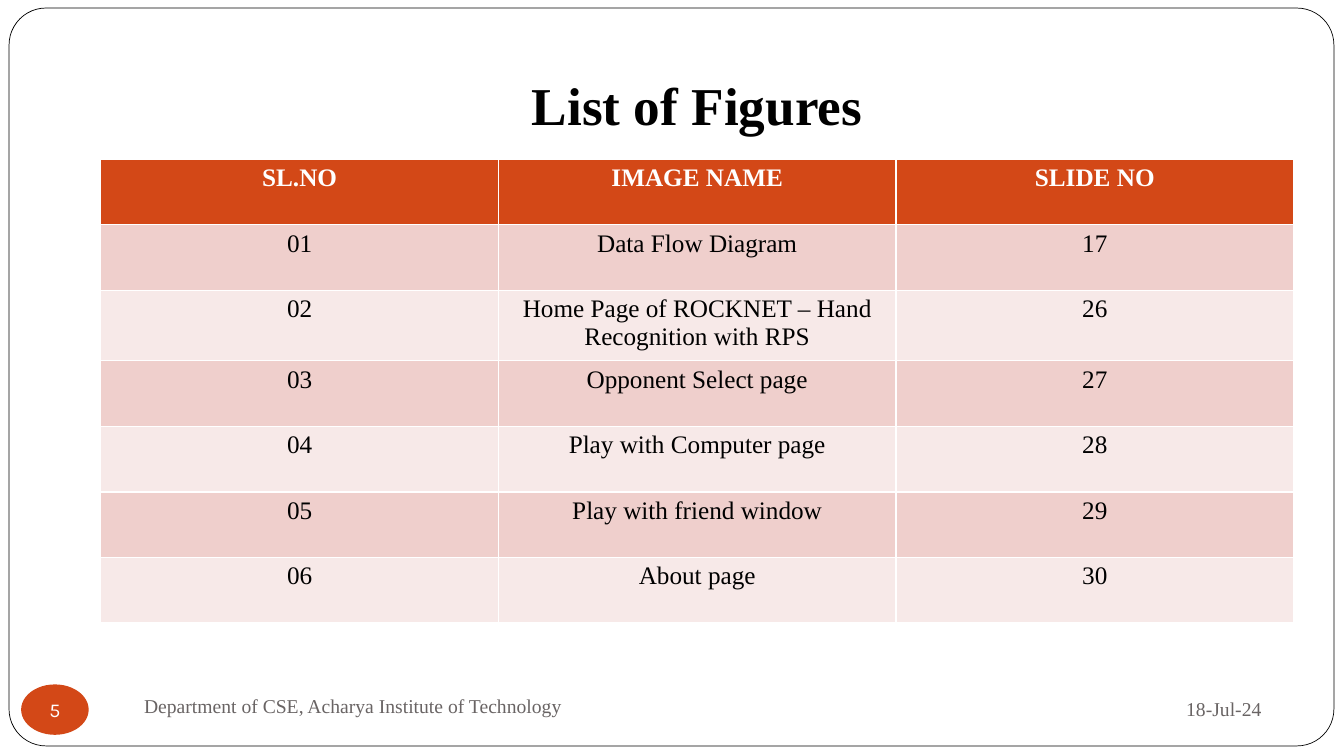
"""Build the List of Figures slide."""
from dataclasses import dataclass
from typing import Any

import pptx
import pptx.dml.color
import pptx.enum.shapes
import pptx.enum.text
import pptx.util

Inches = pptx.util.Inches
RGBColor = pptx.dml.color.RGBColor
Align = pptx.enum.text.PP_ALIGN
Anchor = pptx.enum.text.MSO_ANCHOR
Shape = pptx.enum.shapes.MSO_SHAPE

BLACK = RGBColor(0x00, 0x00, 0x00)
WHITE = RGBColor(0xFF, 0xFF, 0xFF)
GRAY = RGBColor(0x69, 0x64, 0x64)
ORANGE = RGBColor(0xD3, 0x48, 0x17)
BANDS = (RGBColor(0xEF, 0xCF, 0xCC), RGBColor(0xF7, 0xE9, 0xE8))
SERIF = "Times New Roman"
ROW_HEIGHT = 0.65


@dataclass(frozen=True)
class Style:
    size: int
    color: RGBColor
    bold: bool = False
    font: str = SERIF
    align: Align = Align.CENTER


@dataclass(frozen=True)
class Label:
    text: str
    box: tuple[float, float, float, float]
    style: Style
    anchor: Anchor = Anchor.MIDDLE
    bottom: float = 0.05


HEADER = Style(18, WHITE, bold=True)
BODY = Style(18, BLACK)
LABELS = (
    Label("List of Figures", (0.88, 0.2, 12.07, 1.25), Style(38, BLACK, bold=True),
          Anchor.BOTTOM, 0.1),
    Label("18-Jul-24", (9, 6.77, 3.61, 0.52), Style(14, GRAY, align=Align.RIGHT)),
    Label("Department of CSE, Acharya Institute of Technology",
          (1.33, 6.75, 5.78, 0.5), Style(14, GRAY, align=Align.LEFT)),
)
FIGURES = (
    ("SL.NO", "IMAGE NAME", "SLIDE NO"),
    ("01", "Data Flow Diagram", "17"),
    ("02", "Home Page of ROCKNET – Hand Recognition with RPS", "26"),
    ("03", "Opponent Select page", "27"),
    ("04", "Play with Computer page", "28"),
    ("05", "Play with friend window", "29"),
    ("06", "About page", "30"),
)


def write(tf: Any, text: str, style: Style) -> None:
    p = tf.paragraphs[0]
    p.alignment = style.align
    r = p.add_run()
    r.text = text
    r.font.name = style.font
    r.font.size = pptx.util.Pt(style.size)
    r.font.bold = style.bold
    r.font.color.rgb = style.color


def add_label(s: Any, label: Label) -> None:
    tf = s.shapes.add_textbox(*map(Inches, label.box)).text_frame
    tf.word_wrap = True
    tf.vertical_anchor = label.anchor
    tf.margin_bottom = Inches(label.bottom)
    write(tf, label.text, label.style)


def add_frame(s: Any) -> None:
    sp = s.shapes.add_shape(Shape.ROUNDED_RECTANGLE, Inches(0.09), Inches(0.08),
                            Inches(13.14), Inches(7.32))
    sp.adjustments[0] = 0.05
    sp.shadow.inherit = False
    sp.fill.solid()
    sp.fill.fore_color.rgb = WHITE
    sp.line.color.rgb = BLACK
    sp.line.width = pptx.util.Pt(0.5)


def add_page_number(s: Any, number: str) -> None:
    sp = s.shapes.add_shape(Shape.OVAL, Inches(0.21), Inches(6.79),
                            Inches(0.67), Inches(0.5))
    sp.shadow.inherit = False
    sp.fill.solid()
    sp.fill.fore_color.rgb = ORANGE
    sp.line.fill.background()
    tf = sp.text_frame
    tf.margin_left = tf.margin_right = tf.margin_top = tf.margin_bottom = 0
    tf.word_wrap = False
    tf.vertical_anchor = Anchor.MIDDLE
    write(tf, number, Style(14, WHITE, font="Karla"))


def add_figure_table(s: Any) -> None:
    table = s.shapes.add_table(len(FIGURES), len(FIGURES[0]), Inches(1), Inches(1.58),
                               Inches(11.83), Inches(ROW_HEIGHT * len(FIGURES))).table
    for i, row in enumerate(FIGURES):
        for j, text in enumerate(row):
            cell = table.cell(i, j)
            cell.fill.solid()
            cell.fill.fore_color.rgb = BANDS[(i - 1) % 2] if i else ORANGE
            write(cell.text_frame, text, BODY if i else HEADER)


def main() -> None:
    prs = pptx.Presentation()
    prs.slide_width, prs.slide_height = Inches(13.33), Inches(7.5)
    s = prs.slides.add_slide(prs.slide_layouts[6])
    add_frame(s)
    for label in LABELS:
        add_label(s, label)
    add_page_number(s, "5")
    add_figure_table(s)
    prs.save("out.pptx")


if __name__ == "__main__":
    main()
